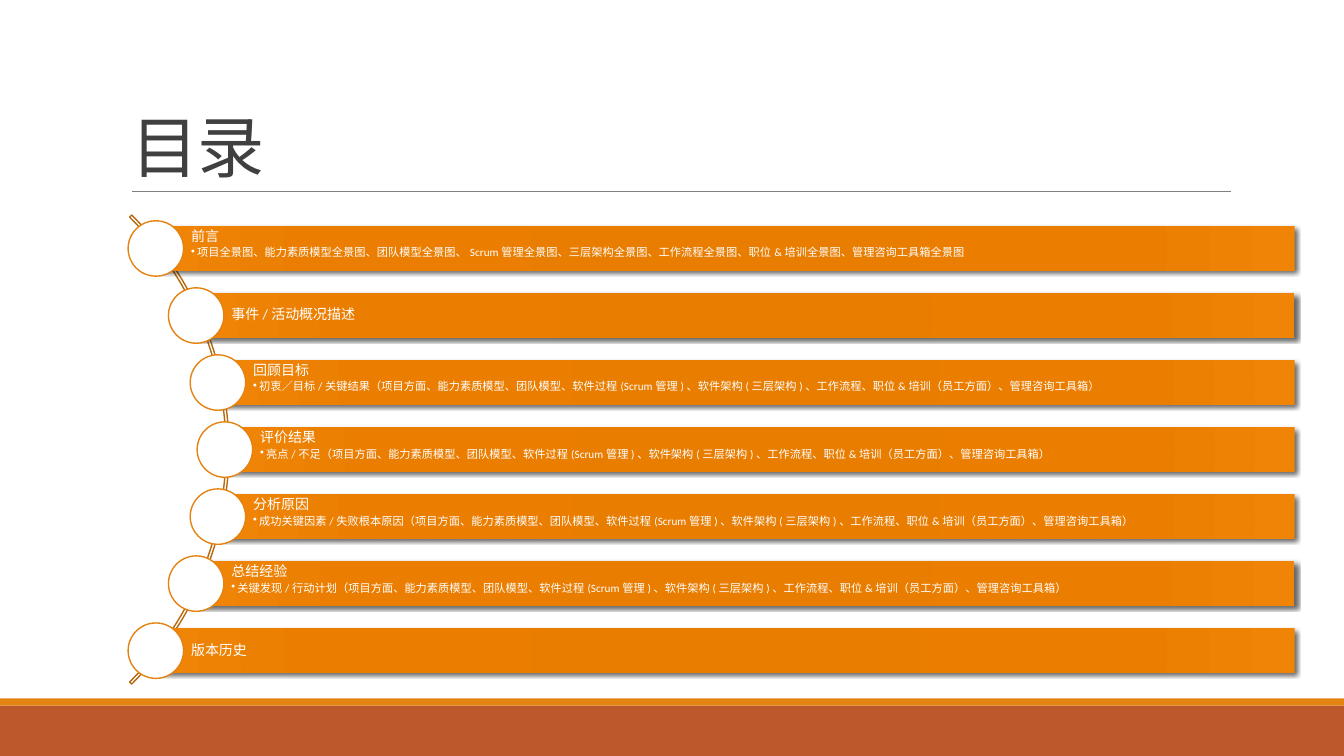
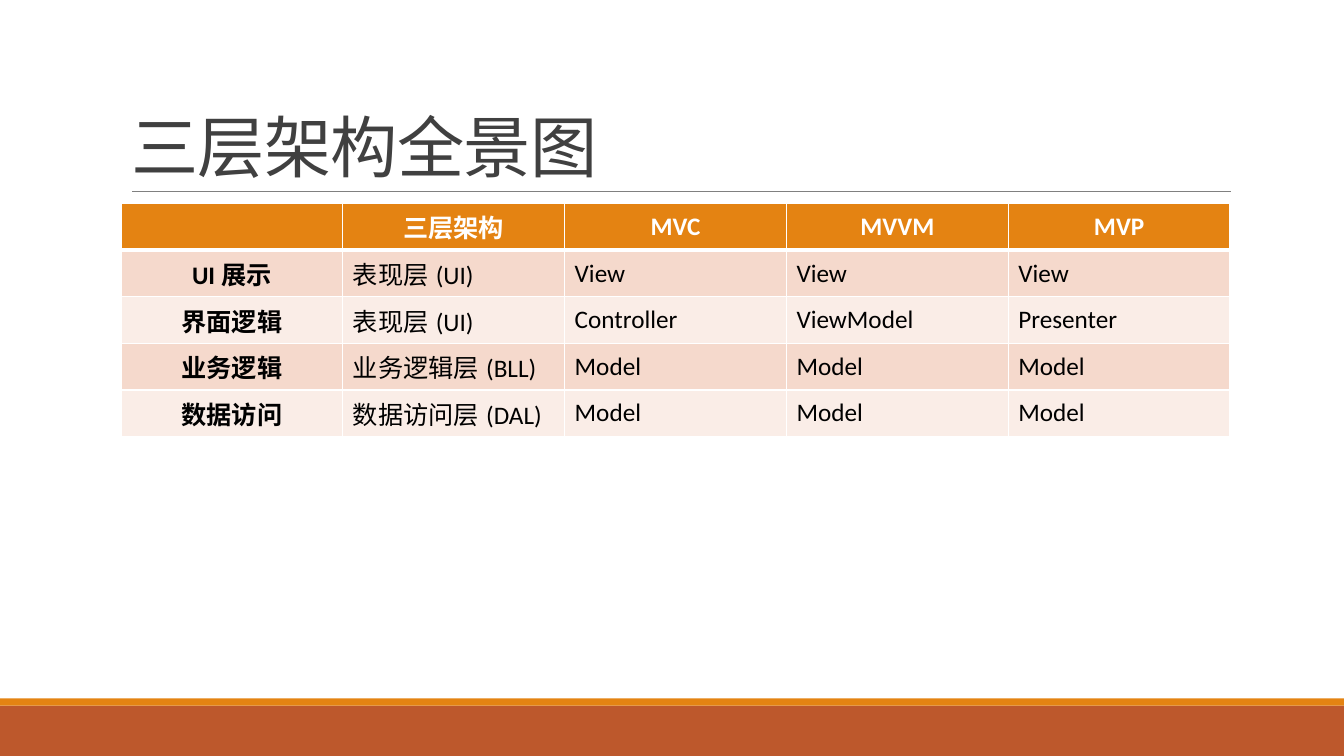
import math

import pptx
import pptx.dml.color
import pptx.enum.shapes
import pptx.enum.text
import pptx.oxml
import pptx.oxml.ns
import pptx.util

Inches = pptx.util.Inches
Pt = pptx.util.Pt
RGBColor = pptx.dml.color.RGBColor
Shape = pptx.enum.shapes.MSO_SHAPE
Align = pptx.enum.text.PP_ALIGN
Anchor = pptx.enum.text.MSO_ANCHOR
qn = pptx.oxml.ns.qn

# Colours and font
WHITE = RGBColor(0xFF, 0xFF, 0xFF)
BLACK = RGBColor(0x00, 0x00, 0x00)
INK = RGBColor(0x40, 0x40, 0x40)
GRAY = RGBColor(0x80, 0x80, 0x80)
RUST = RGBColor(0xBD, 0x58, 0x2C)
ORANGE = RGBColor(0xE4, 0x83, 0x12)
BROWN = RGBColor(0xB7, 0x69, 0x0E)
ROSE = RGBColor(0xF5, 0xD9, 0xCC)
PALE = RGBColor(0xFA, 0xED, 0xE7)
GLOW = [(0, RGBColor(0xE5, 0x7B, 0x00)), (34, RGBColor(0xE8, 0x7D, 0x00)),
        (70, RGBColor(0xEB, 0x7E, 0x00)), (100, RGBColor(0xEF, 0x84, 0x07))]
FONT = "Calibri"
WIDTH, HEIGHT = 13.33, 7.5

# Contents: heading and optional detail
SCOPE = ("（项目方面、能力素质模型、团队模型、软件过程(Scrum管理)、软件架构(三层架构)、"
         "工作流程、职位&培训（员工方面）、管理咨询工具箱）")
TOPICS = [
    ("前言", "项目全景图、能力素质模型全景图、团队模型全景图、Scrum管理全景图、三层架构全景图、"
             "工作流程全景图、职位&培训全景图、管理咨询工具箱全景图"),
    ("事件/活动概况描述", None),
    ("回顾目标", "初衷／目标/关键结果" + SCOPE),
    ("评价结果", "亮点/不足" + SCOPE),
    ("分析原因", "成功关键因素/失败根本原因" + SCOPE),
    ("总结经验", "关键发现/行动计划" + SCOPE),
    ("版本历史", None),
]
LAYERS = [
    ["", "三层架构", "MVC", "MVVM", "MVP"],
    ["UI展示", "表现层(UI)", "View", "View", "View"],
    ["界面逻辑", "表现层(UI)", "Controller", "ViewModel", "Presenter"],
    ["业务逻辑", "业务逻辑层(BLL)", "Model", "Model", "Model"],
    ["数据访问", "数据访问层(DAL)", "Model", "Model", "Model"],
]


def make(tag, body):
    """Build one drawing element from its opening tag and inner XML."""
    name = tag.split()[0]
    return pptx.oxml.parse_xml(
        f"<a:{tag} {pptx.oxml.ns.nsdecls('a')}>{body}</a:{name}>")


class Deck:
    def __init__(self):
        self.file = pptx.Presentation()
        self.file.slide_width = Inches(WIDTH)
        self.file.slide_height = Inches(HEIGHT)
        self.slide = None

    def start(self, title):
        """Add a slide with its title, rule and bottom bands."""
        self.slide = self.file.slides.add_slide(self.file.slide_layouts[5])
        self.shape(Shape.RECTANGLE, 0, 7, WIDTH, 0.5, RUST)
        self.shape(Shape.RECTANGLE, 0, 6.93, WIDTH, 0.07, ORANGE)
        self.rule(1.31, 12.21, 1.9)
        box = self.slide.shapes.title
        box.left, box.top = Inches(1.2), Inches(0.31)
        box.width, box.height = Inches(11), Inches(1.59)
        frame = box.text_frame
        frame.auto_size = pptx.enum.text.MSO_AUTO_SIZE.NONE
        frame.vertical_anchor = Anchor.BOTTOM
        para = frame.paragraphs[0]
        para.alignment, para.line_spacing = Align.LEFT, 0.85
        run = self.run(para, title, 48, INK)
        run._r.get_or_add_rPr().set("spc", "-50")

    def run(self, para, text, size, color, bold=False):
        run = para.add_run()
        run.text = text
        run.font.name, run.font.size, run.font.bold = FONT, Pt(size), bold
        run.font.color.rgb = color
        return run

    def shape(self, kind, x, y, w, h, fill=None, line=None):
        item = self.slide.shapes.add_shape(
            kind, Inches(x), Inches(y), Inches(w), Inches(h))
        item.shadow.inherit = False
        if fill is None:
            item.fill.background()
        else:
            item.fill.solid()
            item.fill.fore_color.rgb = fill
        if line is None:
            item.line.fill.background()
        else:
            item.line.color.rgb, item.line.width = line, Pt(1)
        return item

    def rule(self, left, right, y):
        line = self.slide.shapes.add_connector(
            pptx.enum.shapes.MSO_CONNECTOR.STRAIGHT,
            Inches(left), Inches(y), Inches(right), Inches(y))
        line.line.color.rgb, line.line.width = GRAY, Pt(0.5)
        line._element.spPr.append(make("effectLst", ""))

    def bar(self, x, y, w, h, head, note):
        """Draw a glowing bar with a heading and an optional bullet."""
        item = self.shape(Shape.RECTANGLE, x, y, w, h)
        prop = item._element.spPr
        stops = "".join(f'<a:gs pos="{pos * 1000}"><a:srgbClr val="{color}"/></a:gs>'
                        for pos, color in GLOW)
        prop.replace(prop.find(qn("a:noFill")), make(
            'gradFill rotWithShape="1"',
            f'<a:gsLst>{stops}</a:gsLst><a:path path="circle"><a:fillToRect '
            'l="100000" t="100000" r="100000" b="100000"/></a:path>'))
        prop.find(qn("a:effectLst")).append(make(
            f'outerShdw blurRad="{Pt(3)}" dist="{Pt(2)}" dir="2700000" rotWithShape="0"',
            '<a:srgbClr val="000000"><a:alpha val="60000"/></a:srgbClr>'))
        frame = item.text_frame
        frame.word_wrap = True
        frame.margin_left = Inches(0.35)
        frame.margin_right = frame.margin_top = frame.margin_bottom = Inches(0.03)
        frame.vertical_anchor = Anchor.TOP if note else Anchor.MIDDLE
        para = frame.paragraphs[0]
        para.alignment, para.line_spacing = Align.LEFT, 0.9
        self.run(para, head, 10, WHITE)
        if note:
            para.space_after = Pt(2)
            para = frame.add_paragraph()
            form = para._p.get_or_add_pPr()
            form.set("marL", str(Inches(0.06)))
            form.set("indent", str(Inches(-0.06)))
            form.append(make('buChar char="•"', ""))
            para.level = 1
            para.alignment, para.line_spacing = Align.LEFT, 0.9
            self.run(para, note, 8, WHITE)

    def table(self, x, y, w, h, rows):
        grid = self.slide.shapes.add_table(
            len(rows), len(rows[0]), Inches(x), Inches(y), Inches(w), Inches(h)).table
        grid.horz_banding = False
        for r, row in enumerate(rows):
            for c, text in enumerate(row):
                self.cell(grid.cell(r, c), text, r, c)

    def cell(self, cell, text, r, c):
        top = r == 0
        form = cell._tc.get_or_add_tcPr()
        for side in "LRTB":
            thick = (side == "B" and top) or (side == "T" and r == 1)
            form.append(make(
                f'ln{side} w="{Pt(3 if thick else 1)}"',
                f'<a:solidFill><a:srgbClr val="{WHITE}"/></a:solidFill>'))
        cell.fill.solid()
        cell.fill.fore_color.rgb = ORANGE if top else (PALE, ROSE)[r % 2]
        cell.vertical_anchor = Anchor.MIDDLE
        if text:
            key = top or c == 0
            para = cell.text_frame.paragraphs[0]
            para.alignment = Align.CENTER if key else Align.LEFT
            self.run(para, text, 18, WHITE if top else BLACK, key)


def agenda(deck):
    deck.start("目录")
    # Thin arc that the circles follow
    hub, mid, outer, track = -1.02, 4.46, 3.29, 3.25
    arc = deck.shape(Shape.BLOCK_ARC, hub - outer, mid - outer,
                     2 * outer, 2 * outer, line=BROWN)
    for i, value in enumerate((189, 27, 0.0044)):
        arc.adjustments[i] = value
    # Bars start at the circle centres and share a right edge
    right, tall, dot, span = 12.84, 0.44, 0.55, 3.99
    for i, (head, note) in enumerate(TOPICS):
        rise = span * (i / (len(TOPICS) - 1) - 0.5)
        x, y = hub + math.sqrt(track ** 2 - rise ** 2), mid + rise
        deck.bar(x, y - tall / 2, right - x, tall, head, note)
        deck.shape(Shape.OVAL, x - dot / 2, y - dot / 2, dot, dot, WHITE, ORANGE)


def layers(deck):
    deck.start("三层架构全景图")
    deck.table(1.2, 2.02, 11, 2.03, LAYERS)


def main():
    deck = Deck()
    agenda(deck)
    layers(deck)
    deck.file.save("out.pptx")


if __name__ == "__main__":
    main()
